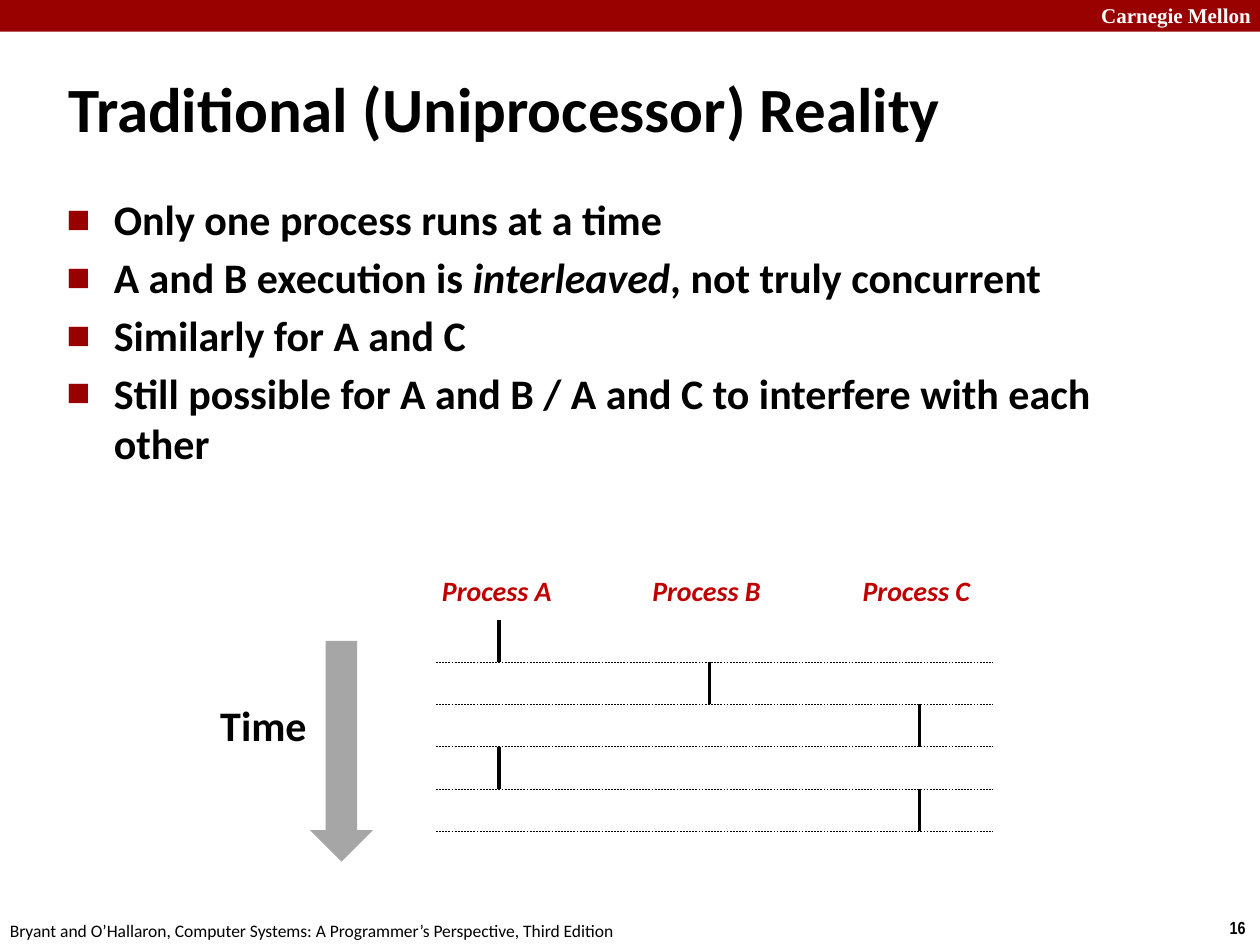
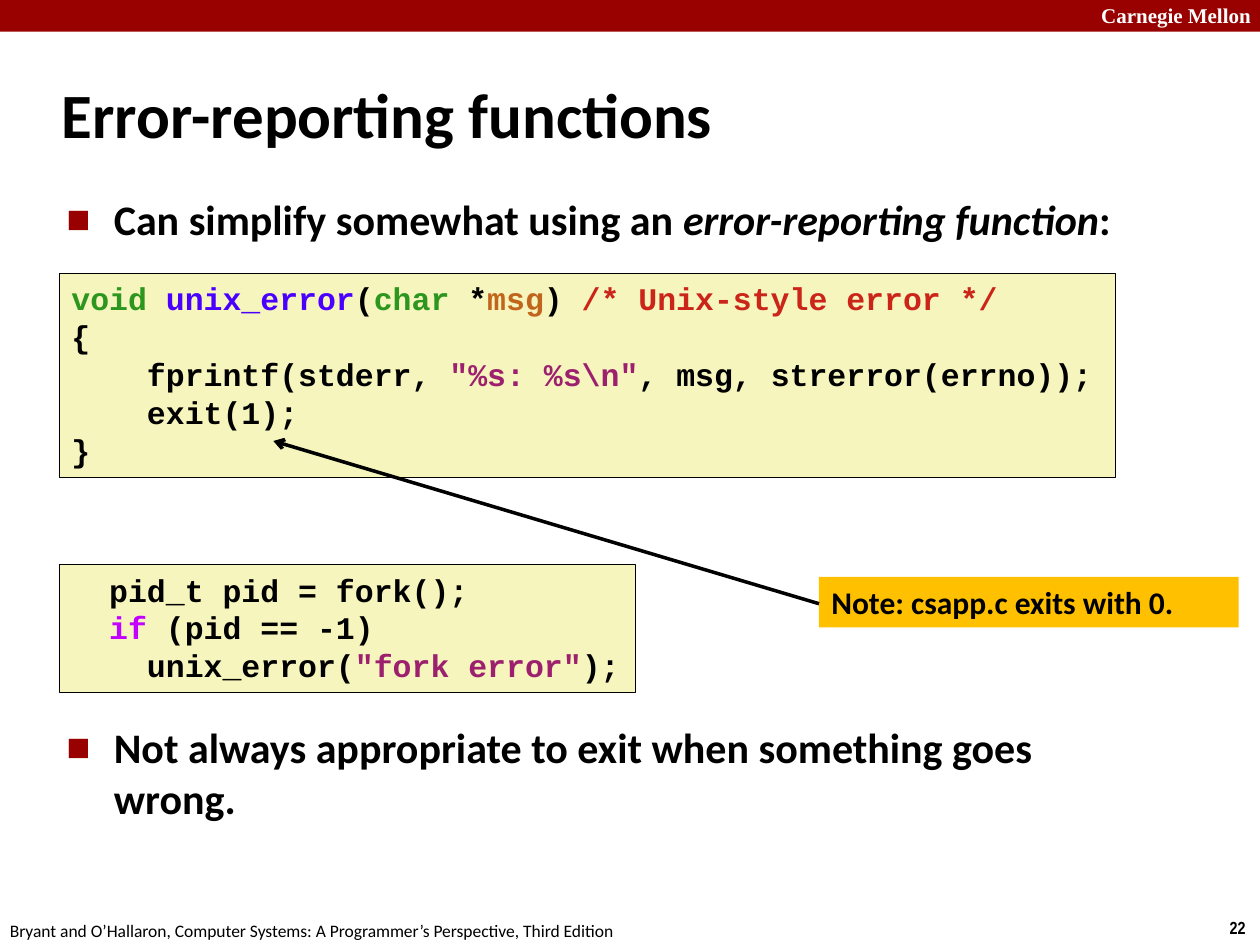
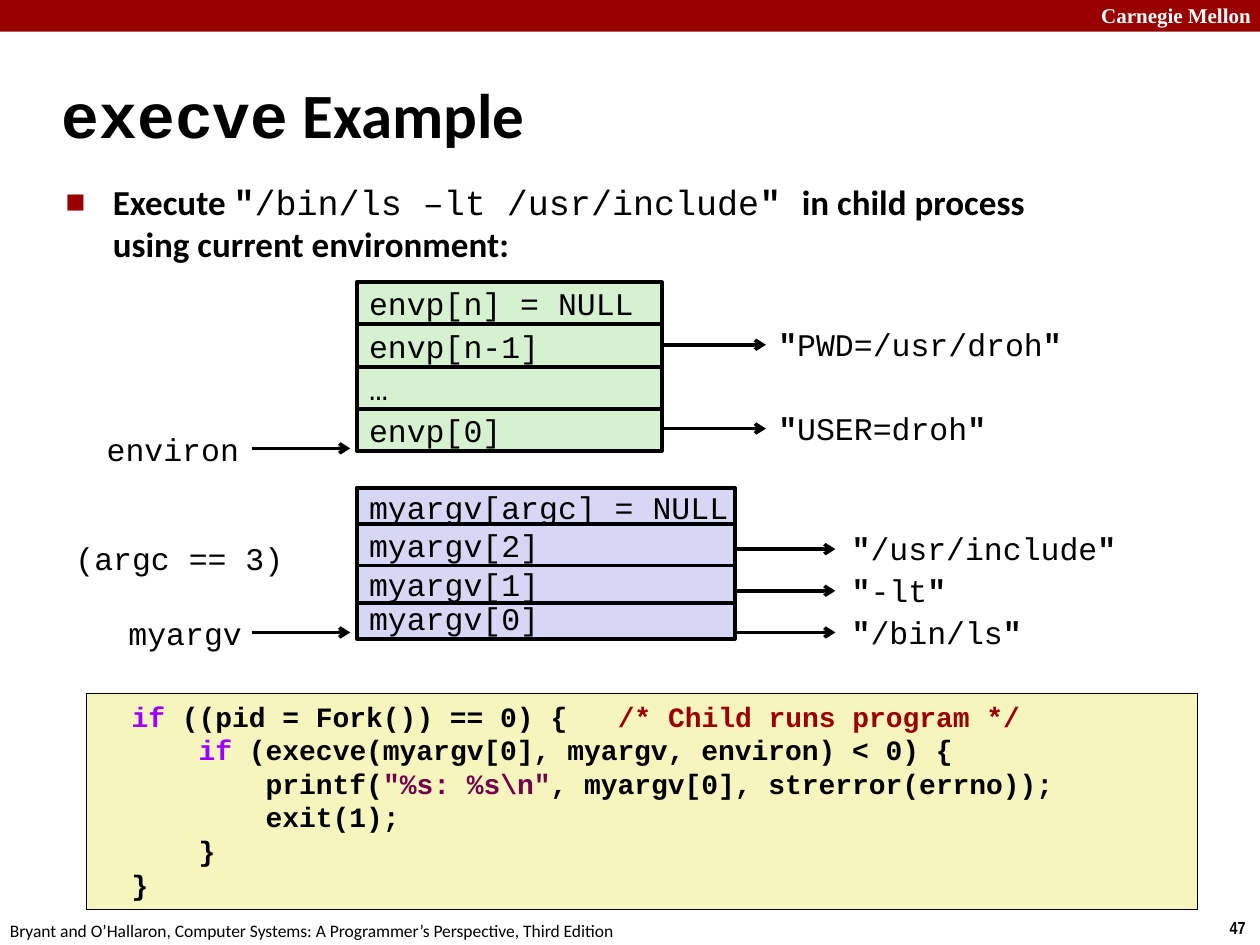
from dataclasses import dataclass

from lxml import etree
from pptx import Presentation
from pptx.dml.color import RGBColor
from pptx.enum.dml import MSO_LINE
from pptx.enum.shapes import MSO_CONNECTOR, MSO_SHAPE
from pptx.enum.text import MSO_ANCHOR, MSO_AUTO_SIZE, PP_ALIGN
from pptx.oxml.ns import qn
from pptx.util import Cm, Pt

DASH = MSO_LINE.DASH
STRAIGHT = MSO_CONNECTOR.STRAIGHT
RECTANGLE, DOWN_ARROW = MSO_SHAPE.RECTANGLE, MSO_SHAPE.DOWN_ARROW
TOP, MIDDLE = MSO_ANCHOR.TOP, MSO_ANCHOR.MIDDLE
NO_FIT = MSO_AUTO_SIZE.NONE
LEFT = PP_ALIGN.LEFT


@dataclass(frozen=True)
class Theme:
    sans: str = "Calibri"
    mono: str = "Courier New"
    serif: str = "Times New Roman"
    narrow: str = "Arial Narrow"
    black: str = "000000"
    white: str = "FFFFFF"
    band: str = "990000"
    process: str = "C00000"
    time_arrow: str = "A6A6A6"
    code_fill: str = "F6F5BD"
    note_fill: str = "FFC000"
    envp_fill: str = "D5F1CF"
    argv_fill: str = "D6D6F5"
    title_size: float = 36
    body_size: float = 24
    small_body_size: float = 20
    code_size: float = 18
    small_size: float = 16
    brand_size: float = 12
    footer_size: float = 10
    hairline: float = 0.25
    stroke: float = 2
    cell_border: float = 2.25


THEME = Theme()


def text_format(name, size, bold=False, italic=False, color=THEME.black):
    return {"name": name, "size": Pt(size), "bold": bold, "italic": italic, "color": color}


TITLE = text_format(THEME.sans, THEME.title_size, bold=True)
BODY = text_format(THEME.sans, THEME.body_size, bold=True)
SMALL_BODY = text_format(THEME.sans, THEME.small_body_size, bold=True)
NOTE = text_format(THEME.sans, THEME.code_size, bold=True)
PROCESS = text_format(THEME.sans, THEME.small_size, True, True, THEME.process)
CODE = text_format(THEME.mono, THEME.code_size, bold=True)
SMALL_CODE = text_format(THEME.mono, THEME.small_size, bold=True)
VALUE = text_format(THEME.mono, THEME.code_size)
BRAND = text_format(THEME.serif, THEME.brand_size, bold=True, color=THEME.white)
PAGE = text_format(THEME.narrow, THEME.footer_size, bold=True)
FOOTER = text_format(THEME.sans, THEME.footer_size)

BOLD = {"bold": True}
ITALIC = {"italic": True}
MONO = {"name": THEME.mono}


def ink(color):
    return {"color": color}


def write_runs(paragraph, runs, base):
    paragraph.alignment = LEFT
    for item in runs:
        text, changes = (item, {}) if isinstance(item, str) else item
        run = paragraph.add_run()
        run.text = text
        for key, value in {**base, **changes}.items():
            if key == "color":
                run.font.color.rgb = RGBColor.from_string(value)
            else:
                setattr(run.font, key, value)


def write_lines(frame, lines, base):
    for index, runs in enumerate(lines):
        paragraph = frame.add_paragraph() if index else frame.paragraphs[0]
        write_runs(paragraph, runs, base)


def set_frame(frame, wrap, anchor):
    settings = {"auto_size": NO_FIT, "word_wrap": wrap, "vertical_anchor": anchor}
    for key, value in settings.items():
        setattr(frame, key, value)


def place(shape, box):
    for key, value in zip(("left", "top", "width", "height"), box):
        setattr(shape, key, Cm(value))


def add_label(slide, box, runs, base):
    frame = slide.shapes.add_textbox(*map(Cm, box)).text_frame
    set_frame(frame, False, TOP)
    write_lines(frame, [runs], base)


def add_panel(slide, box, fill, border=None, kind=RECTANGLE):
    shape = slide.shapes.add_shape(kind, *map(Cm, box))
    shape.shadow.inherit = False
    shape.fill.solid()
    shape.fill.fore_color.rgb = RGBColor.from_string(fill)
    if border is None:
        shape.line.fill.background()
    else:
        shape.line.color.rgb = RGBColor.from_string(THEME.black)
        shape.line.width = Pt(border)
    return shape


def add_code(slide, box, lines, base):
    frame = add_panel(slide, box, THEME.code_fill, THEME.hairline).text_frame
    set_frame(frame, False, TOP)
    write_lines(frame, lines, base)
    for paragraph in frame.paragraphs:
        paragraph.line_spacing = Pt(base["size"].pt * 1.2)


def add_cell(slide, box, text, fill):
    frame = add_panel(slide, box, fill, THEME.cell_border).text_frame
    set_frame(frame, False, MIDDLE)
    write_lines(frame, [[text]], VALUE)


def add_line(slide, start, end, width=THEME.stroke, dash=None, arrow=False):
    connector = slide.shapes.add_connector(STRAIGHT, *map(Cm, (*start, *end)))
    connector.line.color.rgb = RGBColor.from_string(THEME.black)
    connector.line.width = Pt(width)
    if dash is not None:
        connector.line.dash_style = dash
    properties = connector.element.spPr
    if arrow:
        etree.SubElement(properties.find(qn("a:ln")), qn("a:tailEnd"), type="arrow")
    etree.SubElement(properties, qn("a:effectLst"))


def add_bullet(paragraph):
    properties = paragraph._p.get_or_add_pPr()
    indent = Cm(0.95)
    properties.set("marL", str(int(indent)))
    properties.set("indent", str(-int(indent)))
    color = etree.SubElement(properties, qn("a:buClr"))
    etree.SubElement(color, qn("a:srgbClr"), val=THEME.band)
    etree.SubElement(properties, qn("a:buSzPct"), val="60000")
    etree.SubElement(properties, qn("a:buFont"), typeface=THEME.sans)
    etree.SubElement(properties, qn("a:buChar"), char="■")


def fill_title(slide, box, runs):
    title = slide.shapes.title
    place(title, box)
    set_frame(title.text_frame, True, MIDDLE)
    write_lines(title.text_frame, [runs], TITLE)


def fill_bullets(slide, box, items, base=BODY, gap=4.2):
    body = slide.placeholders[1]
    place(body, box)
    set_frame(body.text_frame, True, TOP)
    write_lines(body.text_frame, items, base)
    for index, paragraph in enumerate(body.text_frame.paragraphs):
        add_bullet(paragraph)
        paragraph.space_before = Pt(gap if index else 0)


def add_course_slide(presentation, page):
    slide = presentation.slides.add_slide(presentation.slide_layouts[1])
    add_panel(slide, (0, 0, 25.4, 0.64), THEME.band)
    add_label(slide, (21.95, -0.08, 3.63, 0.76), ["Carnegie Mellon"], BRAND)
    add_label(slide, (24.54, 18.36, 0.86, 0.69), [page], PAGE)
    citation = "Bryant and O’Hallaron, Computer Systems: A Programmer’s Perspective, Third Edition"
    add_label(slide, (-0.05, 18.42, 12.9, 0.69), [citation], FOOTER)
    return slide


def add_timeline(slide):
    first_column, column_pitch = 10.06, 4.24
    first_row, row_height = 12.5, 0.85
    for column, name in enumerate("ABC"):
        left = first_column - 1.4 + column * column_pitch
        add_label(slide, (left, 11.43, 2.76, 0.94), [f"Process {name}"], PROCESS)
    for row, name in enumerate("ABCAC"):
        x = first_column + "ABC".index(name) * column_pitch
        top = first_row + row * row_height
        bottom = top + row_height
        add_line(slide, (x, top), (x, bottom))
        add_line(slide, (8.79, bottom), (20.02, bottom), THEME.hairline, DASH)
    add_label(slide, (4.19, 13.97, 2.26, 1.27), ["Time"], BODY)
    add_panel(slide, (6.25, 12.92, 1.27, 4.45), THEME.time_arrow, kind=DOWN_ARROW)


def build_reality_slide(presentation):
    slide = add_course_slide(presentation, "16")
    fill_title(slide, (1.12, 1.37, 20.24, 1.6), ["Traditional (Uniprocessor) Reality"])
    fill_bullets(slide, (1.09, 3.78, 21.95, 7.5), [
        ["Only one process runs at a time"],
        ["A and B execution is ", ("interleaved", ITALIC), ", not truly concurrent"],
        ["Similarly for A and C"],
        ["Still possible for A and B / A and C to interfere with each other"],
    ])
    add_timeline(slide)


def build_error_slide(presentation):
    keyword, function, argument = ink("2D961E"), ink("4A00FF"), ink("C1651C")
    comment, string, control = ink("CB2418"), ink("9D206F"), ink("C200FF")
    slide = add_course_slide(presentation, "22")
    fill_title(slide, (0.99, 1.22, 21.08, 2.11), ["Error-reporting functions"])
    fill_bullets(slide, (1.09, 3.78, 21.95, 13), [
        ["Can simplify somewhat using an ", ("error-reporting function", ITALIC), ":"],
        ["Not always appropriate to exit when something goes wrong."],
    ], gap=273)
    add_code(slide, (1.19, 5.51, 21.29, 4.11), [
        [("void ", keyword), ("unix_error", function), "(", ("char", keyword), " *",
         ("msg", argument), ") ", ("/* Unix-style error */", comment)],
        ["{"],
        ["    fprintf(stderr, ", ('"%s: %s\\n"', string), ", msg, strerror(errno));"],
        ["    exit(1);"],
        ["}"],
    ], CODE)
    add_code(slide, (1.19, 11.38, 11.61, 2.57), [
        ["  pid_t pid = fork();"],
        [("  if", control), " (pid == -1)"],
        ["    unix_error(", ('"fork error"', string), ");"],
    ], CODE)
    note = add_panel(slide, (16.51, 11.63, 8.46, 1.02), THEME.note_fill)
    set_frame(note.text_frame, False, TOP)
    write_lines(note.text_frame, [["Note: csapp.c exits with 0."]], NOTE)
    add_line(slide, (16.51, 12.17), (5.51, 8.89), arrow=True)


def add_string_pointer(slide, start, end, y, text, label_box):
    add_line(slide, (start, y), (end, y), arrow=True)
    add_label(slide, label_box, [('"', BOLD), text, ('"', BOLD)], VALUE)


def add_variable_pointer(slide, text, left, width, y):
    add_label(slide, (left, y - 0.5, width, 1.02), [text], VALUE)
    add_line(slide, (5.08, y), (7.06, y), arrow=True)


def add_environment(slide):
    for row, text in enumerate(("envp[n] = NULL", "envp[n-1]", "…", "envp[0]")):
        add_cell(slide, (7.19, 5.69 + row * 0.85, 6.15, 0.85), text, THEME.envp_fill)
    for y, text, width in ((6.95, "PWD=/usr/droh", 6.25), (8.64, "USER=droh", 4.72)):
        add_string_pointer(slide, 13.34, 15.44, y, text, (15.44, y - 0.52, width, 1.02))
    add_variable_pointer(slide, "environ", 1.9, 3.2, 9.04)


def add_arguments(slide):
    cells = (
        ("myargv[argc] = NULL", 9.83, 0.76),
        ("myargv[2]", 10.57, 0.84),
        ("myargv[0]", 12.04, 0.84),
        ("myargv[1]", 11.4, 0.76),
    )
    for text, top, height in cells:
        add_cell(slide, (7.19, top, 7.62, height), text, THEME.argv_fill)
    values = ((11.07, "/usr/include", 5.87), (11.91, "-lt", 2.44), (12.75, "/bin/ls", 3.99))
    for y, text, width in values:
        add_string_pointer(slide, 14.81, 16.84, y, text, (16.92, y - 0.52, width, 1.02))
    add_variable_pointer(slide, "myargv", 2.34, 2.82, 12.75)
    add_label(slide, (1.27, 10.74, 4.75, 1.02), ["(argc == 3)"], VALUE)


def build_execve_slide(presentation):
    control, comment, string = ink("9D00FF"), ink("9D0003"), ink("72004C")
    slide = add_course_slide(presentation, "47")
    fill_title(slide, (0.99, 1.22, 21.08, 2.11), [("execve", MONO), " Example"])
    fill_bullets(slide, (1.07, 3.51, 21.03, 2), [
        ["Execute ", ('"', MONO), ("/bin/ls –lt /usr/include", {**MONO, "bold": False}),
         ('" ', MONO), "in child process using current environment:"],
    ], SMALL_BODY)
    add_environment(slide)
    add_arguments(slide)
    add_code(slide, (1.73, 13.97, 22.4, 4.37), [
        ["  ", ("if", control), " ((pid = Fork()) == 0) {   ",
         ("/* Child runs program */", comment)],
        ["      ", ("if", control), " (execve(myargv[0], myargv, environ) < 0) {"],
        ["          printf(", ('"%s: %s\\n"', string), ", myargv[0], strerror(errno));"],
        ["          exit(1);"],
        ["      }"],
        ["  }"],
    ], SMALL_CODE)


def main():
    presentation = Presentation()
    presentation.slide_width = Cm(25.4)
    presentation.slide_height = Cm(19.05)
    build_reality_slide(presentation)
    build_error_slide(presentation)
    build_execve_slide(presentation)
    presentation.save("out.pptx")


if __name__ == "__main__":
    main()
